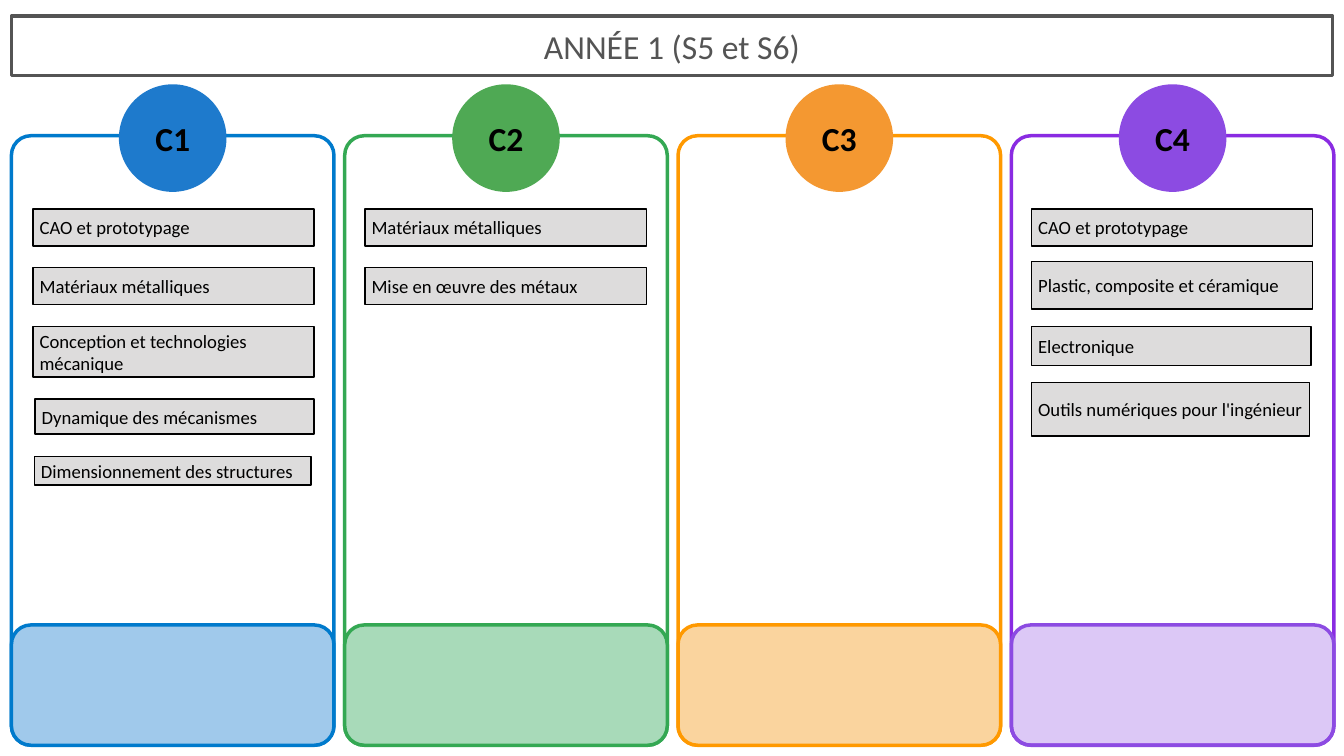
from dataclasses import dataclass

from lxml import etree
from pptx import Presentation
from pptx.dml.color import RGBColor
from pptx.enum.shapes import MSO_SHAPE
from pptx.enum.text import MSO_ANCHOR, MSO_AUTO_SIZE, PP_ALIGN
from pptx.oxml.ns import qn
from pptx.util import Inches, Pt

ROUNDED, OVAL, RECTANGLE = MSO_SHAPE.ROUNDED_RECTANGLE, MSO_SHAPE.OVAL, MSO_SHAPE.RECTANGLE
LEFT, CENTER, MIDDLE = PP_ALIGN.LEFT, PP_ALIGN.CENTER, MSO_ANCHOR.MIDDLE
NO_AUTO_SIZE = MSO_AUTO_SIZE.NONE
TITLE_ONLY_LAYOUT = 5

# Grid: 40 columns by 45 rows
SLIDE_WIDTH, SLIDE_HEIGHT = Inches(20), Inches(11.25)
COLUMN, ROW = SLIDE_WIDTH / 40, SLIDE_HEIGHT / 45
MARGIN, PITCH, PANEL_WIDTH = 0.34, 9.92, 9.6
PANEL_TOP, BAND_TOP, PANEL_BOTTOM = 8.08, 37.2, 44.36
BADGE_TOP, BADGE_SIZE = 5.08, 3.14
CORNER = 0.58


@dataclass(frozen=True)
class Theme:
    font: str = "Calibri"
    title_size: int = 36
    card_size: int = 20
    title: str = "545454"
    text: str = "000000"
    card: str = "DDDCDC"
    thick: float = 3.75
    medium: float = 2.25
    thin: float = 1.5


@dataclass(frozen=True)
class Competence:
    name: str
    outline: str
    badge: str
    band: str
    band_line: str
    cards: tuple = ()
    band_alpha: int = 100


# Cards: text, left offset in panel, top, width, height
COMPETENCES = (
    Competence("C1", "007ACC", "1E7ACC", "A0C9EB", "007ACC", (
        ("CAO et prototypage", 0.64, 12.44, 8.36, 2.2),
        ("Matériaux métalliques", 0.64, 15.92, 8.36, 2.2),
        ("Conception et technologies mécanique", 0.64, 19.44, 8.36, 3),
        ("Dynamique des mécanismes", 0.7, 23.76, 8.3, 2.08),
        ("Dimensionnement des structures", 0.68, 27.16, 8.24, 1.72),
    )),
    Competence("C2", "34A853", "4FA954", "A8DAB9", "34A853", (
        ("Matériaux métalliques", 0.6, 12.44, 8.38, 2.2),
        ("Mise en œuvre des métaux", 0.6, 15.92, 8.38, 2.2),
    )),
    Competence("C3", "FF9900", "F49831", "FAD49E", "FF9900"),
    Competence("C4", "8A2BE2", "8C4BE2", "8C4BE2", "8C4BE2", (
        ("CAO et prototypage", 0.6, 12.44, 8.36, 2.2),
        ("Plastic, composite et céramique", 0.6, 15.56, 8.36, 2.84),
        ("Electronique", 0.6, 19.44, 8.32, 2.32),
        ("Outils numériques pour l'ingénieur", 0.6, 22.76, 8.28, 3.2),
    ), band_alpha=30),
)


class SlideBuilder:
    def __init__(self, slide, theme):
        self.slide = slide
        self.theme = theme

    def outline(self, shape, color, width):
        shape.line.color.rgb = RGBColor.from_string(color)
        shape.line.width = Pt(width)

    def shape(self, kind, left, top, width, height, fill, line, line_width):
        shape = self.slide.shapes.add_shape(
            kind, round(left * COLUMN), round(top * ROW), round(width * COLUMN), round(height * ROW))
        shape.shadow.inherit = False
        if fill:
            shape.fill.solid()
            shape.fill.fore_color.rgb = RGBColor.from_string(fill)
        else:
            shape.fill.background()
        self.outline(shape, line, line_width)
        return shape

    def label(self, shape, text, size, color, alignment, bold=False):
        frame = shape.text_frame
        frame.text = text
        frame.word_wrap = True
        frame.auto_size = NO_AUTO_SIZE
        frame.vertical_anchor = MIDDLE
        paragraph = frame.paragraphs[0]
        paragraph.alignment = alignment
        paragraph.font.name = self.theme.font
        paragraph.font.size = Pt(size)
        paragraph.font.bold = bold
        paragraph.font.color.rgb = RGBColor.from_string(color)
        return frame

    def title(self, text):
        title = self.slide.shapes.title
        title.left, title.top = round(MARGIN * COLUMN), round(0.96 * ROW)
        title.width, title.height = SLIDE_WIDTH - 2 * title.left, round(3.54 * ROW)
        self.outline(title, self.theme.title, self.theme.thick)
        self.label(title, text, self.theme.title_size, self.theme.title, CENTER)

    def rounded_box(self, left, top, fill, line):
        height = PANEL_BOTTOM - top
        box = self.shape(ROUNDED, left, top, PANEL_WIDTH, height, fill, line, self.theme.thick)
        box.adjustments[0] = CORNER * COLUMN / min(box.width, box.height)
        return box

    def band(self, left, competence):
        band = self.rounded_box(left, BAND_TOP, competence.band, competence.band_line)
        if competence.band_alpha < 100:
            color = band.element.spPr.find(qn("a:solidFill"))[0]
            etree.SubElement(color, qn("a:alpha"), val=str(competence.band_alpha * 1000))

    def badge(self, left, competence):
        badge_left = left + (PANEL_WIDTH - BADGE_SIZE) / 2
        badge = self.shape(OVAL, badge_left, BADGE_TOP, BADGE_SIZE, BADGE_SIZE * COLUMN / ROW,
                           competence.badge, competence.badge, self.theme.medium)
        frame = self.label(badge, competence.name, self.theme.title_size, self.theme.text,
                           CENTER, bold=True)
        frame.margin_left = frame.margin_right = frame.margin_top = frame.margin_bottom = 0

    def card(self, left, text, offset, top, width, height):
        card = self.shape(RECTANGLE, left + offset, top, width, height,
                          self.theme.card, self.theme.text, self.theme.thin)
        frame = self.label(card, text, self.theme.card_size, self.theme.text, LEFT)
        frame.margin_right = Inches(0.05)

    def competence(self, index, competence):
        left = MARGIN + index * PITCH
        self.rounded_box(left, PANEL_TOP, None, competence.outline)
        self.badge(left, competence)
        self.band(left, competence)
        for card in competence.cards:
            self.card(left, *card)


def main():
    presentation = Presentation()
    presentation.slide_width, presentation.slide_height = SLIDE_WIDTH, SLIDE_HEIGHT
    slide = presentation.slides.add_slide(presentation.slide_layouts[TITLE_ONLY_LAYOUT])
    builder = SlideBuilder(slide, Theme())

    # Heading
    builder.title("ANNÉE 1 (S5 et S6)")

    # One panel per competence
    for index, competence in enumerate(COMPETENCES):
        builder.competence(index, competence)

    presentation.save("out.pptx")


if __name__ == "__main__":
    main()
